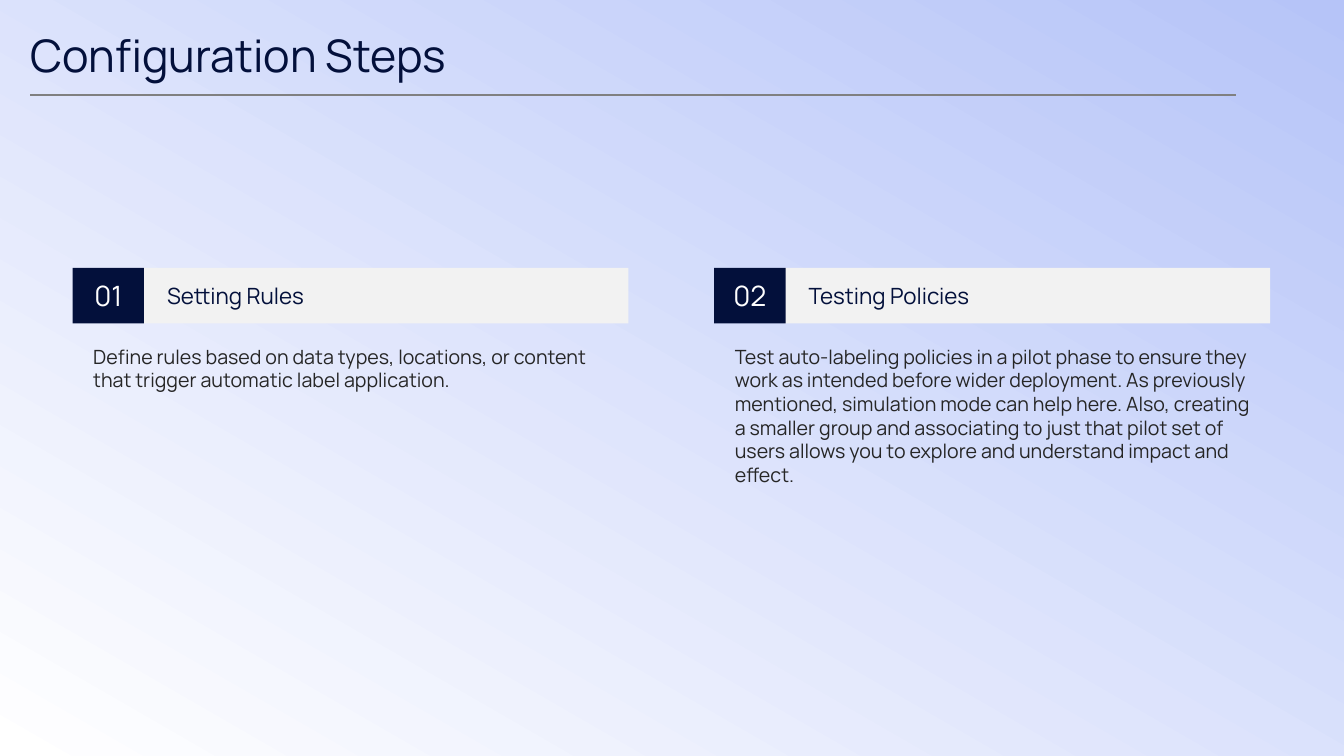
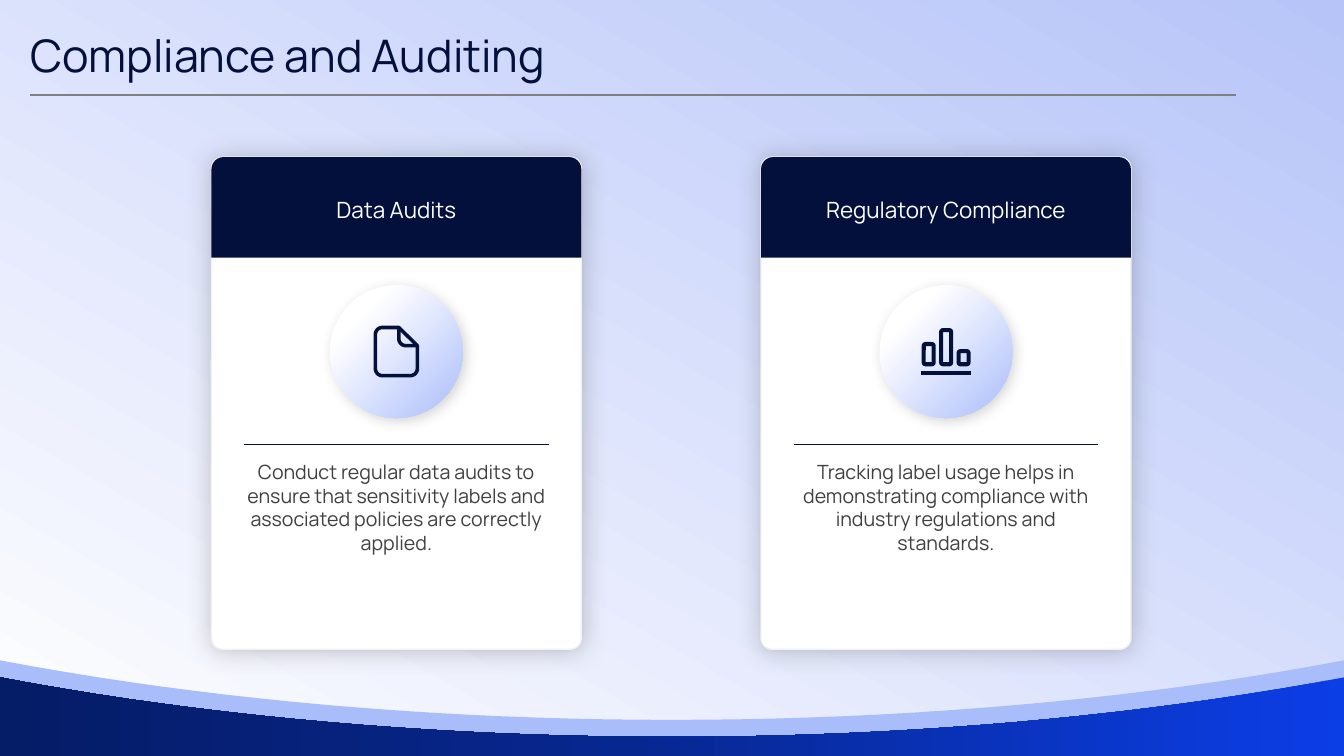
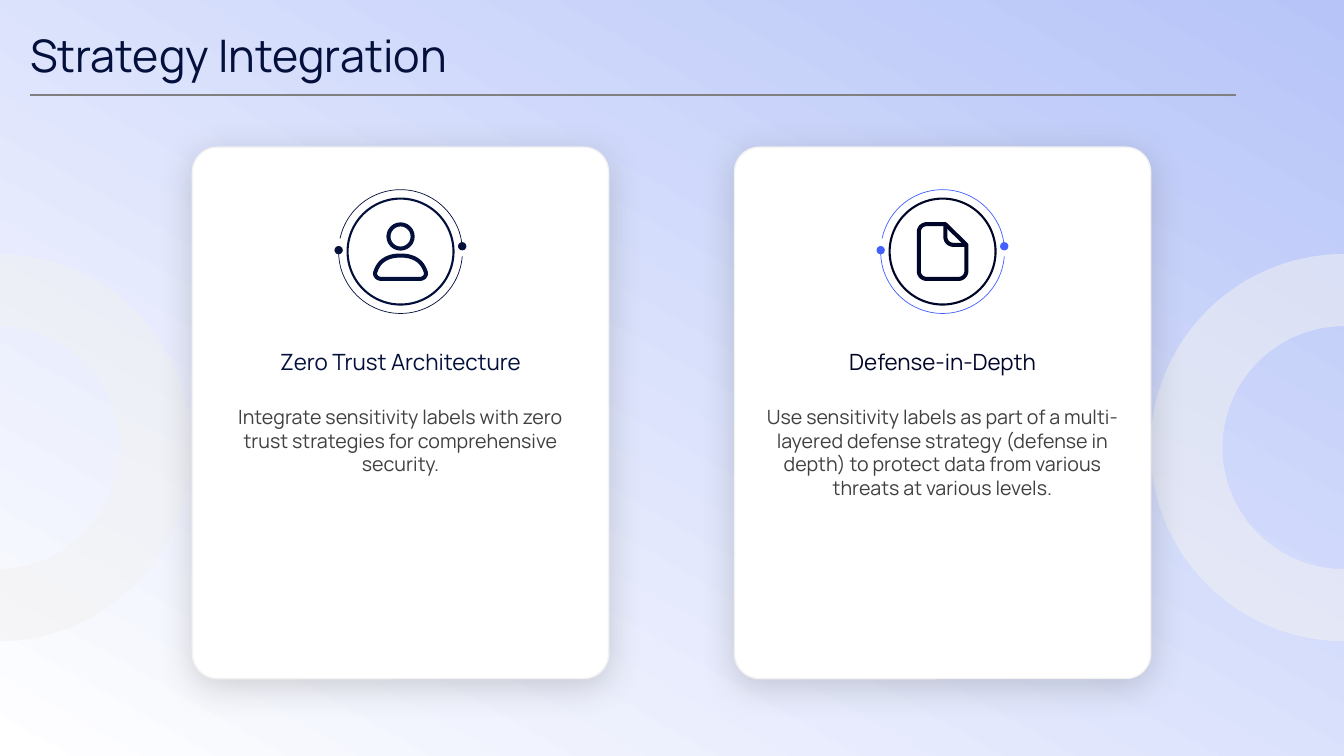
from copy import deepcopy
from math import cos, radians, sin

from lxml.etree import SubElement
from pptx import Presentation
from pptx.dml.color import RGBColor
from pptx.enum.shapes import MSO_CONNECTOR, MSO_SHAPE
from pptx.enum.text import MSO_ANCHOR, PP_ALIGN
from pptx.oxml.ns import qn
from pptx.util import Cm, Pt

# Shared look; all lengths are centimetres
WIDTH, HEIGHT = 33.87, 19.05
FONT = "Manrope"
NAVY, INK, WHITE = "03103B", "000627", "FFFFFF"
PALE, SKY, BLUE = "F2F2F2", "AABDFB", "4360FF"
GREY, BODY, DARK_BODY = "808080", "404040", "262626"
STROKE = 2.9


def color(value):
    return RGBColor.from_string(value)


# Styling
def paint(shape, fill=None, line=None, width=1):
    shape.shadow.inherit = False
    if fill:
        shape.fill.solid()
        shape.fill.fore_color.rgb = color(fill)
    else:
        shape.fill.background()
    if line:
        shape.line.color.rgb = color(line)
        shape.line.width = Pt(width)
    else:
        shape.line.fill.background()


def set_gradient(shape, stops, angle):
    """Stops are (percent, colour); the angle runs clockwise."""
    shape.fill.gradient()
    shape.fill.gradient_angle = 360 - angle
    stop_list = shape.element.spPr.find(".//" + qn("a:gsLst"))
    while len(stop_list) < len(stops):
        stop_list.append(deepcopy(stop_list[-1]))
    for stop, (percent, value) in zip(shape.fill.gradient_stops, stops):
        stop.position = percent / 100
        stop.color.rgb = color(value)


def set_opacity(element, percent):
    SubElement(element, qn("a:alpha"), val=str(percent * 1000))


def set_shadow(shape, opacity, blur, distance=0, angle=0):
    effects = shape.element.spPr.find(qn("a:effectLst"))
    shadow = SubElement(
        effects, qn("a:outerShdw"), blurRad=str(Pt(blur)), dist=str(Pt(distance)),
        dir=str(angle * 60000), algn="ctr", rotWithShape="0")
    set_opacity(SubElement(shadow, qn("a:srgbClr"), val=BODY), opacity)


def write(shape, text, size, ink, align=PP_ALIGN.LEFT, anchor=MSO_ANCHOR.MIDDLE, indent=0):
    frame = shape.text_frame
    frame.text = text
    frame.word_wrap = True
    frame.vertical_anchor = anchor
    frame.margin_left = Cm(indent)
    frame.margin_top = frame.margin_right = frame.margin_bottom = 0
    paragraph = frame.paragraphs[0]
    paragraph.alignment = align
    font = paragraph.runs[0].font
    font.name, font.size, font.color.rgb = FONT, Pt(size), color(ink)


# Elements
def add_box(slide, kind, left, top, width, height, fill=None, line=None, line_width=1):
    shape = slide.shapes.add_shape(kind, Cm(left), Cm(top), Cm(width), Cm(height))
    paint(shape, fill, line, line_width)
    return shape


def add_circle(slide, center_x, center_y, size, fill=None, line=None, line_width=1):
    return add_box(slide, MSO_SHAPE.OVAL, center_x - size / 2, center_y - size / 2,
                   size, size, fill, line, line_width)


def add_text(slide, left, top, width, height, text, size, ink, **layout):
    box = slide.shapes.add_textbox(Cm(left), Cm(top), Cm(width), Cm(height))
    write(box, text, size, ink, **layout)


def add_rule(slide, left, right, y, ink, width):
    rule = slide.shapes.add_connector(
        MSO_CONNECTOR.STRAIGHT, Cm(left), Cm(y), Cm(right), Cm(y))
    rule.line.color.rgb = color(ink)
    rule.line.width = Pt(width)
    SubElement(rule.element.spPr, qn("a:effectLst"))


def add_card(slide, left, top, width, height, corner, shadow):
    card = add_box(slide, MSO_SHAPE.ROUNDED_RECTANGLE, left, top, width, height, WHITE, PALE)
    card.adjustments[0] = corner
    set_shadow(card, *shadow)


def flatten(steps, segments=12):
    """Turn points (x, y) and curves (x1, y1, x2, y2, x, y) into points."""
    points = []
    for step in steps:
        if len(step) == 2:
            points.append(step)
            continue
        controls = [points[-1], step[:2], step[2:4], step[4:]]
        for index in range(1, segments + 1):
            t = index / segments
            weights = ((1 - t) ** 3, 3 * t * (1 - t) ** 2, 3 * t * t * (1 - t), t ** 3)
            points.append(tuple(
                sum(weight * control[axis] for weight, control in zip(weights, controls))
                for axis in (0, 1)))
    return points


def add_outline(slide, points, fill=None, line=None, line_width=1, closed=True):
    vertices = [(Cm(x), Cm(y)) for x, y in points]
    builder = slide.shapes.build_freeform(*vertices[0])
    builder.add_line_segments(vertices[1:], close=closed)
    shape = builder.convert_to_shape()
    paint(shape, fill, line, line_width)
    return shape


def add_stroke(slide, center_x, center_y, steps, ink, scale=1, closed=True):
    points = [(center_x + x * scale, center_y + y * scale) for x, y in flatten(steps)]
    add_outline(slide, points, None, ink, STROKE * scale, closed)


# Icons
def add_document_icon(slide, x, y, ink, scale=1):
    page = [(0.07, -0.69), (-0.4, -0.69), (-0.51, -0.69, -0.6, -0.6, -0.6, -0.49),
            (-0.6, 0.49), (-0.6, 0.6, -0.51, 0.69, -0.4, 0.69),
            (0.4, 0.69), (0.51, 0.69, 0.6, 0.6, 0.6, 0.49), (0.6, -0.17)]
    fold = [(0.07, -0.69), (0.07, -0.37), (0.07, -0.26, 0.16, -0.17, 0.27, -0.17),
            (0.6, -0.17)]
    add_stroke(slide, x, y, page, ink, scale)
    add_stroke(slide, x, y, fold, ink, scale, closed=False)


def add_person_icon(slide, x, y, ink):
    body = [(-0.48, 0.69), (0.48, 0.69), (0.6, 0.69, 0.67, 0.59, 0.63, 0.5),
            (0.55, 0.26, 0.36, 0.1, 0, 0.1), (-0.36, 0.1, -0.55, 0.26, -0.63, 0.5),
            (-0.67, 0.59, -0.6, 0.69, -0.48, 0.69)]
    add_circle(slide, x, y - 0.38, 0.61, None, ink, STROKE)
    add_stroke(slide, x, y, body, ink)


def add_chart_icon(slide, x, y, ink):
    for index, height in enumerate((0.51, 0.86, 0.33)):
        add_box(slide, MSO_SHAPE.ROUNDED_RECTANGLE, x - 0.56 + 0.44 * index,
                y + 0.32 - height, 0.25, height, None, ink, STROKE)
    add_rule(slide, x - 0.64, x + 0.64, y + 0.55, ink, STROKE)


# Shared slide frame
def add_slide(presentation, title):
    slide = presentation.slides.add_slide(presentation.slide_layouts[6])
    backdrop = add_box(slide, MSO_SHAPE.RECTANGLE, 0, 0, WIDTH, HEIGHT)
    set_gradient(backdrop, [(0, "B6C4F8"), (100, WHITE)], 120)
    add_text(slide, 0.76, 0.79, 30.73, 1.19, title, 32, NAVY)
    add_rule(slide, 0.76, 31.14, 2.39, GREY, 1.25)
    return slide


# Slide 1
def add_step(slide, left, number, title, text):
    top, height = 6.75, 1.4
    bar = add_box(slide, MSO_SHAPE.RECTANGLE, left + 1.77, top, 12.24, height, PALE)
    write(bar, title, 16, NAVY, indent=0.61)
    badge = add_box(slide, MSO_SHAPE.RECTANGLE, left, top, 1.8, height, NAVY)
    write(badge, number, 20, WHITE, PP_ALIGN.CENTER)
    add_text(slide, left + 0.52, 8.69, 13, 4.75, text, 14, DARK_BODY, anchor=MSO_ANCHOR.TOP)


# Slide 2
def add_waves(slide):
    depth, drop = 1.98, 2
    for top in (16.64, HEIGHT - depth):
        curve = (0.31 * WIDTH, top + drop, 0.69 * WIDTH, top + drop, WIDTH, top)
        points = flatten([(0, top), curve, (WIDTH, top + depth), (0, top + depth)], 40)
        wave = add_outline(slide, points, SKY)
    set_gradient(wave, [(0, "0C3EE6"), (53, "072790"), (100, "051C66")], 180)


def add_audit_card(slide, left, title, text):
    """Return the middle of the disc, where the icon goes."""
    top, width, margin = 3.96, 9.32, 0.82
    center_x, center_y = left + width / 2, 8.86
    add_card(slide, left, top, width, 12.4, 0.03, (29, 18))
    header = add_box(slide, MSO_SHAPE.ROUND_2_SAME_RECTANGLE, left, top, width, 2.53, NAVY)
    header.adjustments[0] = 0.12
    write(header, title, 16, WHITE, PP_ALIGN.CENTER)
    add_text(slide, left + margin, 11.6, width - 2 * margin, 4.24, text, 14, BODY,
             align=PP_ALIGN.CENTER, anchor=MSO_ANCHOR.TOP)
    add_rule(slide, left + margin, left + width - margin, 11.2, NAVY, 1)
    disc = add_circle(slide, center_x, center_y, 3.35, WHITE)
    set_gradient(disc, [(23, WHITE), (100, SKY)], 45)
    set_shadow(disc, 22, 9, 3, 45)
    return center_x, center_y


# Slide 3
def add_half_ring(slide, center_x, side):
    """Draw the half of a ring that opens to the slide's edge."""
    def arc(radius, angles):
        return [(min(max(center_x + side * radius * cos(radians(angle)), 0), WIDTH),
                 11.28 + radius * sin(radians(angle))) for angle in angles]

    points = arc(4.88, range(-90, 91, 3)) + arc(3.06, range(90, -91, -3))
    ring = add_outline(slide, points, PALE)
    set_opacity(ring.element.spPr.find(".//" + qn("a:srgbClr")), 50)


def add_dotted_arc(slide, center_x, center_y, size, start, end, ink):
    """Angles are degrees, clockwise from the right."""
    arc = add_box(slide, MSO_SHAPE.ARC, center_x - size / 2, center_y - size / 2,
                  size, size, None, ink, 0.5)
    arc.adjustments[0], arc.adjustments[1] = start * 0.6, end * 0.6
    SubElement(arc.element.spPr.find(qn("a:ln")), qn("a:tailEnd"), type="oval")


def add_strategy_card(slide, left, title, text, ink, arc_ink, add_icon):
    width = 10.49
    center_x, center_y = left + width / 2, 6.34
    add_card(slide, left, 3.71, width, 13.39, 0.06, (21, 25, 5, 90))
    add_text(slide, left + 0.54, 8.43, width - 1.08, 1.37, title, 16, ink,
             align=PP_ALIGN.CENTER)
    add_text(slide, left + 0.61, 10.21, width - 1.22, 6.58, text, 14, BODY,
             align=PP_ALIGN.CENTER, anchor=MSO_ANCHOR.TOP)
    for start, end in ((192.25, 355.08), (4.43, 181.29)):
        add_dotted_arc(slide, center_x, center_y, 3.12, start, end, arc_ink)
    add_circle(slide, center_x, center_y, 2.67, WHITE, ink, 1.5)
    add_icon(slide, center_x, center_y, ink)


def main():
    presentation = Presentation()
    presentation.slide_width, presentation.slide_height = Cm(WIDTH), Cm(HEIGHT)

    slide = add_slide(presentation, "Configuration Steps")
    add_step(slide, 1.83, "01", "Setting Rules",
             "Define rules based on data types, locations, or content that trigger "
             "automatic label application.")
    add_step(slide, 18, "02", "Testing Policies",
             "Test auto-labeling policies in a pilot phase to ensure they work as intended "
             "before wider deployment. As previously mentioned, simulation mode can help "
             "here. Also, creating a smaller group and associating to just that pilot set "
             "of users allows you to explore and understand impact and effect.")

    slide = add_slide(presentation, "Compliance and Auditing")
    add_waves(slide)
    x, y = add_audit_card(slide, 5.33, "Data Audits",
                          "Conduct regular data audits to ensure that sensitivity labels "
                          "and associated policies are correctly applied.")
    add_document_icon(slide, x, y, NAVY, 0.88)
    x, y = add_audit_card(slide, 19.18, "Regulatory Compliance",
                          "Tracking label usage helps in demonstrating compliance with "
                          "industry regulations and standards.")
    add_chart_icon(slide, x, y, NAVY)

    slide = add_slide(presentation, "Strategy Integration")
    add_half_ring(slide, -0.05, 1)
    add_half_ring(slide, WIDTH, -1)
    add_strategy_card(slide, 4.85, "Zero Trust Architecture",
                      "Integrate sensitivity labels with zero trust strategies for "
                      "comprehensive security.", NAVY, NAVY, add_person_icon)
    add_strategy_card(slide, 18.51, "Defense-in-Depth",
                      "Use sensitivity labels as part of a multi-layered defense strategy "
                      "(defense in depth) to protect data from various threats at various "
                      "levels.", INK, BLUE, add_document_icon)

    presentation.save("out.pptx")


if __name__ == "__main__":
    main()
